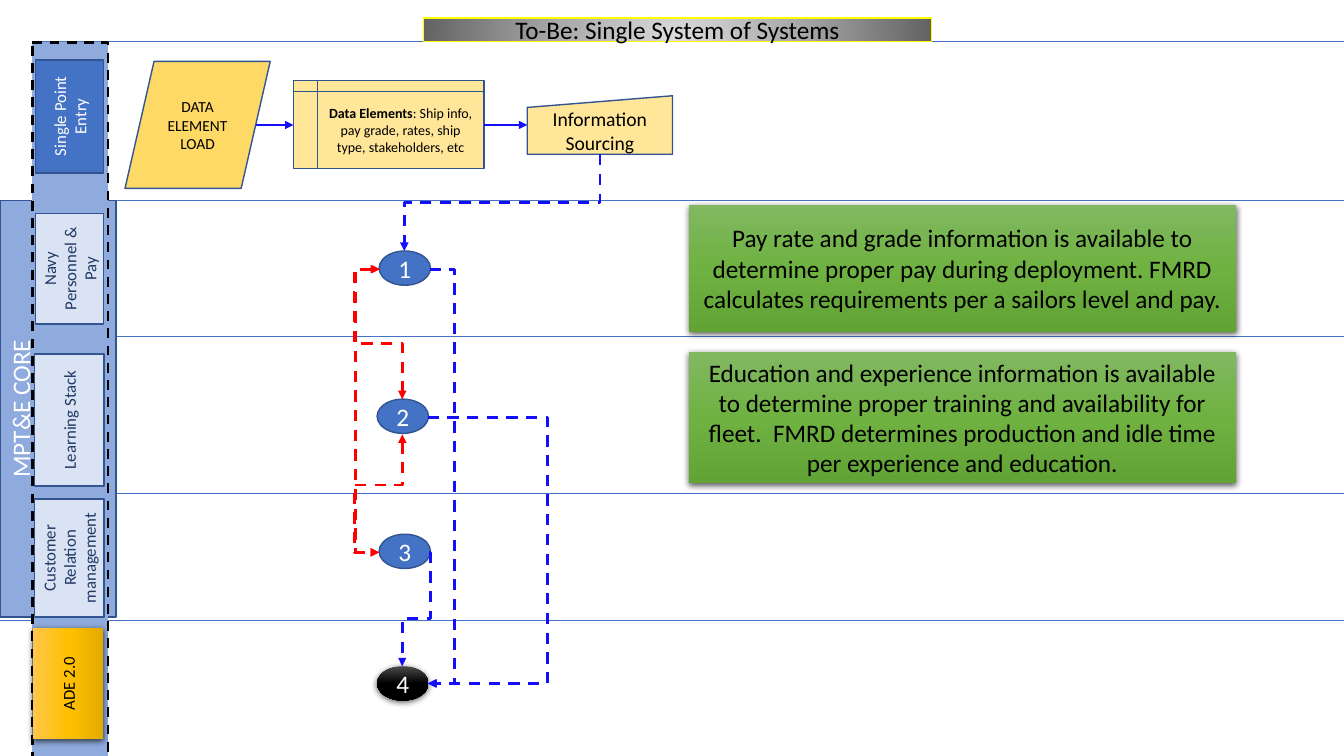
from lxml.etree import SubElement
from pptx import Presentation
from pptx.dml.color import RGBColor
from pptx.enum.dml import MSO_LINE
from pptx.enum.shapes import MSO_CONNECTOR, MSO_SHAPE as SHAPE
from pptx.enum.text import MSO_ANCHOR, MSO_AUTO_SIZE, PP_ALIGN
from pptx.oxml import parse_xml
from pptx.oxml.ns import nsdecls, qn
from pptx.util import Inches, Pt

COLORS = {
    "black": "000000", "white": "FFFFFF", "blue": "4472C4", "edge": "325491",
    "core": "8FAADC", "pale": "DAE3F3", "navy": "203864", "cream": "FFE699",
    "gold": "FFD966", "yellow": "FFFF00", "flow": "150FF9", "sync": "FF0000",
}
GRADIENTS = {
    "silver": [(0, "DBDBDB"), (46, "AAAAAA"), (100, "636363")],
    "amber": [(0, "FFC64B"), (50, "FFC000"), (100, "E3AB00")],
    "coal": [(0, "4B4B4B"), (50, "000000"), (100, "000000")],
    "green": [(0, "81B861"), (50, "6FB242"), (100, "62A336")],
}
LINEAR = '<a:lin ang="5400000" scaled="0"/>'
RADIAL = '<a:path path="circle"><a:fillToRect l="50000" t="130000" r="50000" b="-30000"/></a:path>'

deck = Presentation()
deck.slide_width, deck.slide_height = Inches(13.33), Inches(7.5)
page = deck.slides.add_slide(deck.slide_layouts[5])


def add_box(text, at, kind=SHAPE.FLOWCHART_PROCESS, box=None, fill="blue", line="edge",
            weight=1, dash=False, shadow=False, rotation=0, lead="", size=18,
            color="black", anchor=MSO_ANCHOR.MIDDLE, blend=LINEAR):
    left, top, width, height = [Inches(value) for value in at]
    if box is None:
        box = page.shapes.add_shape(kind, left, top, width, height)
    else:
        box.left, box.top, box.width, box.height = left, top, width, height
    box.rotation = rotation
    props = box.element.spPr
    if fill in GRADIENTS:
        box.fill.gradient()
        stops = "".join(f'<a:gs pos="{pos * 1000}"><a:srgbClr val="{tint}"/></a:gs>'
                        for pos, tint in GRADIENTS[fill])
        gradient = parse_xml(f'<a:gradFill {nsdecls("a")} rotWithShape="1">'
                             f'<a:gsLst>{stops}</a:gsLst>{blend}</a:gradFill>')
        props.replace(props.find(qn("a:gradFill")), gradient)
    else:
        box.fill.solid()
        box.fill.fore_color.rgb = RGBColor.from_string(COLORS[fill])
    if line:
        box.line.color.rgb = RGBColor.from_string(COLORS[line])
        box.line.width = Pt(weight)
        if dash:
            box.line.dash_style = MSO_LINE.DASH
    else:
        box.line.fill.background()
    box.shadow.inherit = False
    if shadow:
        props.find(qn("a:effectLst")).append(parse_xml(
            f'<a:outerShdw {nsdecls("a")} blurRad="57150" dist="19050" dir="5400000" '
            'algn="ctr" rotWithShape="0"><a:srgbClr val="000000">'
            '<a:alpha val="63000"/></a:srgbClr></a:outerShdw>'))
    frame = box.text_frame
    frame.word_wrap = True
    frame.auto_size = MSO_AUTO_SIZE.NONE
    frame.vertical_anchor = anchor
    para = frame.paragraphs[0]
    para.alignment = PP_ALIGN.CENTER
    for words, bold in ((lead, True), (text, False)):
        if words:
            span = para.add_run()
            span.text = words
            span.font.name = "Calibri"
            span.font.size = Pt(size)
            span.font.bold = bold
            span.font.color.rgb = RGBColor.from_string(COLORS[color])


def add_line(start, end, color="flow", weight=2.0, bends=(), vertical=False, dash=False, arrows=()):
    (x1, y1), (x2, y2) = start, end
    if vertical:
        middle_x, middle_y = (x1 + x2) / 2, (y1 + y2) / 2
        half_run, half_rise = (y2 - y1) / 2, (x1 - x2) / 2
        x1, x2 = middle_x - half_run, middle_x + half_run
        y1, y2 = middle_y - half_rise, middle_y + half_rise
    kind = MSO_CONNECTOR.ELBOW if bends else MSO_CONNECTOR.STRAIGHT
    connector = page.shapes.add_connector(kind, Inches(x1), Inches(y1), Inches(x2), Inches(y2))
    connector.line.color.rgb = RGBColor.from_string(COLORS[color])
    connector.line.width = Pt(weight)
    if dash:
        connector.line.dash_style = MSO_LINE.DASH
    props = connector.element.spPr
    if vertical:
        props.find(qn("a:xfrm")).set("rot", "5400000")
    if bends:
        geometry = props.find(qn("a:prstGeom"))
        geometry.set("prst", f"bentConnector{len(bends) + 2}")
        for number, bend in enumerate(bends, 1):
            SubElement(geometry.find(qn("a:avLst")), qn("a:gd"), name=f"adj{number}",
                       fmla=f"val {round(bend * 100000)}")
    for arrow in arrows:
        SubElement(props.find(qn("a:ln")), qn(f"a:{arrow}End"), type="triangle")
    SubElement(props, qn("a:effectLst"))


for left, lane_top in ((0, 3.34), (0, 4.89), (0, 6.15), (0.36, 0.41), (0.29, 1.99)):
    add_line((left, lane_top), (13.33, lane_top), color="blue", weight=0.5)

title = page.shapes.title
title.element.getparent().append(title.element)
add_box("To-Be: Single System of Systems", (4.2, 0.18, 5.04, 0.23), box=title,
        fill="silver", line="yellow", blend=RADIAL)

add_box("Information Sourcing", (5.23, 0.95, 1.44, 0.58), SHAPE.FLOWCHART_MANUAL_INPUT,
        fill="cream", size=14)
add_box("MPT&E CORE", (-1.49, 3.48, 4.13, 1.15), fill="core", rotation=270,
        color="white", anchor=MSO_ANCHOR.TOP)
add_box("", (0.32, 0.42, 0.75, 7.09), fill="core", line="black", weight=1.75, dash=True)

for text, at, fill, color, line in (
    ("Customer Relation management", (0.1, 5.19, 1.17, 0.69), "pale", "navy", "edge"),
    ("Single Point Entry", (0.13, 0.82, 1.12, 0.67), "blue", "white", "edge"),
    ("ADE 2.0", (0.12, 6.43, 1.11, 0.7), "amber", "black", None),
    ("Learning Stack", (0.03, 3.82, 1.31, 0.69), "pale", "navy", "edge"),
    ("Navy Personnel & Pay", (0.14, 2.33, 1.1, 0.67), "pale", "navy", "edge"),
):
    add_box(text, at, SHAPE.RECTANGLE, fill=fill, color=color, line=line,
            shadow=line is None, size=12, rotation=270)

add_box(": Ship info, pay grade, rates, ship type, stakeholders, etc", (2.91, 0.8, 1.89, 0.87),
        SHAPE.FLOWCHART_INTERNAL_STORAGE, fill="cream", lead="Data Elements", size=10)
add_box("DATA ELEMENT LOAD", (1.24, 0.61, 1.44, 1.26), SHAPE.FLOWCHART_DATA, fill="gold", size=11)

for text, left, top, fill, line in (
    ("1", 3.76, 2.49, "blue", "edge"),
    ("2", 3.74, 3.96, "blue", "edge"),
    ("3", 3.76, 5.3, "blue", "edge"),
    ("4", 3.74, 6.61, "coal", None),
):
    add_box(text, (left, top, 0.51, 0.34), SHAPE.FLOWCHART_CONNECTOR, fill=fill, line=line,
            shadow=line is None, color="white")

for start, end in (((2.54, 1.24), (2.91, 1.24)), ((4.8, 1.24), (5.23, 1.24))):
    add_line(start, end, weight=1.75, arrows=("tail",))

for start, end, bends, vertical in (
    ((4.26, 5.48), (3.99, 6.61), (-0.03, 0.58), False),
    ((4.24, 4.14), (4.25, 6.78), (121,), False),
    ((4.26, 2.67), (4.24, 6.78), (-12.5,), False),
    ((5.95, 1.53), (4.01, 2.49), (0.5,), True),
):
    add_line(start, end, bends=bends, vertical=vertical, dash=True, arrows=("tail",))

for start, end, bends, vertical in (
    ((3.76, 2.67), (3.99, 3.96), (-1.08, 0.57), False),
    ((3.99, 4.31), (3.76, 5.48), (0.43, 2.08), True),
    ((3.77, 2.67), (3.76, 5.48), (25,), False),
):
    add_line(start, end, color="sync", bends=bends, vertical=vertical, dash=True,
             arrows=("head", "tail"))

for text, top, height in (
    ("Education and experience information is available to determine proper training and "
     "availability for fleet.  FMRD determines production and idle time per experience and "
     "education.", 3.49, 1.3),
    ("Pay rate and grade information is available to determine proper pay during deployment. "
     "FMRD calculates requirements per a sailors level and pay.", 2.03, 1.26),
):
    add_box(text, (6.83, top, 5.43, height), fill="green", line=None, shadow=True)

deck.save("out.pptx")
